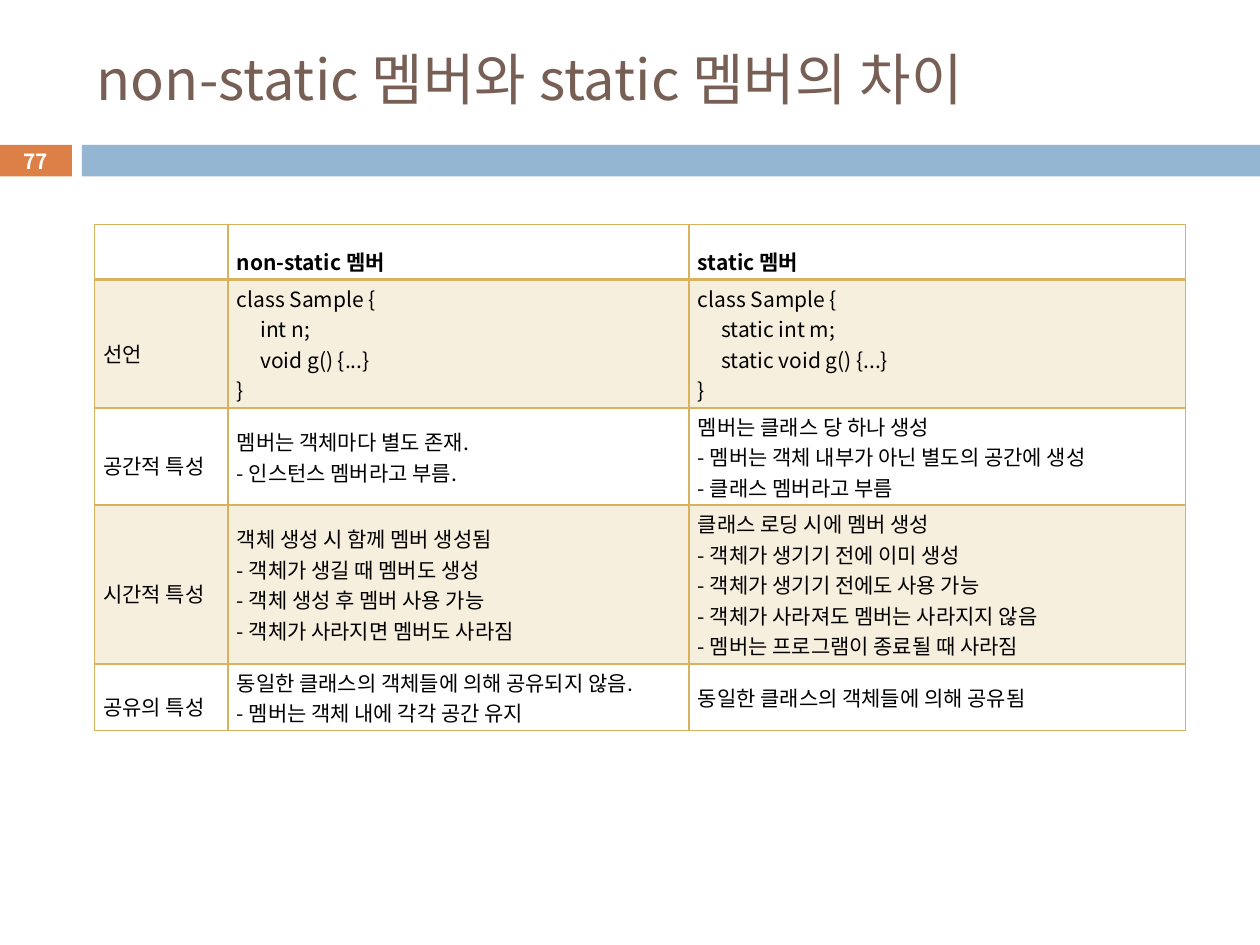
from dataclasses import dataclass

from pptx import Presentation
from pptx.dml.color import RGBColor
from pptx.enum.shapes import MSO_SHAPE
from pptx.enum.text import MSO_ANCHOR, PP_ALIGN
from pptx.oxml import parse_xml
from pptx.oxml.ns import nsdecls, qn
from pptx.util import Inches, Pt
from lxml.etree import SubElement


@dataclass(frozen=True)
class Theme:
    font: str = "Noto Sans CJK KR"
    title: str = "775F55"
    orange: str = "DD8047"
    blue: str = "94B6D2"
    gold: str = "D8B25C"
    white: str = "FFFFFF"
    black: str = "000000"
    title_size: float = 32
    body_size: float = 12
    number_size: float = 11.9
    band_opacity: int = 20


@dataclass(frozen=True)
class TextStyle:
    size: float
    color: str
    bold: bool = False
    alignment: PP_ALIGN = PP_ALIGN.LEFT
    line_spacing: float = 1.0


@dataclass(frozen=True)
class Bar:
    left: float
    width: float
    color: str
    text: str = ""


@dataclass(frozen=True)
class Row:
    height: float
    label: str
    non_static: str
    static: str


THEME = Theme()
TITLE = TextStyle(THEME.title_size, THEME.title)
NUMBER = TextStyle(THEME.number_size, THEME.white, True, PP_ALIGN.CENTER)
HEADER = TextStyle(THEME.body_size, THEME.black, True, PP_ALIGN.JUSTIFY, 1.6)
LABEL = TextStyle(THEME.body_size, THEME.black, False, PP_ALIGN.JUSTIFY, 1.6)
BODY = TextStyle(THEME.body_size, THEME.black, False, PP_ALIGN.JUSTIFY)

BARS = [Bar(-0.01, 0.58, THEME.orange, "77"), Bar(0.65, 9.35, THEME.blue)]
COLUMN_WIDTHS = [1.06, 3.66, 3.94]
ROWS = [
    Row(0.44, "", "non-static 멤버", "static 멤버"),
    Row(1.02, "선언",
        "class Sample {\n     int n;\n     void g() {...}\n}",
        "class Sample {\n     static int m;\n     static void g() {...}\n}"),
    Row(0.77, "공간적 특성",
        "멤버는 객체마다 별도 존재.\n- 인스턴스 멤버라고 부름.",
        "멤버는 클래스 당 하나 생성\n- 멤버는 객체 내부가 아닌 별도의 공간에 생성\n"
        "- 클래스 멤버라고 부름"),
    Row(1.26, "시간적 특성",
        "객체 생성 시 함께 멤버 생성됨\n- 객체가 생길 때 멤버도 생성\n"
        "- 객체 생성 후 멤버 사용 가능\n- 객체가 사라지면 멤버도 사라짐",
        "클래스 로딩 시에 멤버 생성\n- 객체가 생기기 전에 이미 생성\n"
        "- 객체가 생기기 전에도 사용 가능\n- 객체가 사라져도 멤버는 사라지지 않음\n"
        "- 멤버는 프로그램이 종료될 때 사라짐"),
    Row(0.53, "공유의 특성",
        "동일한 클래스의 객체들에 의해 공유되지 않음.\n- 멤버는 객체 내에 각각 공간 유지",
        "동일한 클래스의 객체들에 의해 공유됨"),
]


def set_attributes(target, values: dict) -> None:
    for name, value in values.items():
        setattr(target, name, value)


def write_text(text_frame, text: str, style: TextStyle) -> None:
    text_frame.word_wrap = True
    text_frame.text = text
    for paragraph in text_frame.paragraphs:
        set_attributes(paragraph, {"alignment": style.alignment,
                                   "line_spacing": style.line_spacing})
        for run in paragraph.runs:
            set_attributes(run.font, {"name": THEME.font, "size": Pt(style.size),
                                      "bold": style.bold})
            run.font.color.rgb = RGBColor.from_string(style.color)
            east_asian = SubElement(run.font._element, qn("a:ea"))
            east_asian.set("typeface", THEME.font)


def draw_title(slide, text: str) -> None:
    box = slide.shapes.add_textbox(Inches(0.67), Inches(0.25), Inches(8.92), Inches(0.74))
    write_text(box.text_frame, text, TITLE)
    box.text_frame.vertical_anchor = MSO_ANCHOR.MIDDLE


def draw_bar(slide, bar: Bar) -> None:
    shape = slide.shapes.add_shape(MSO_SHAPE.RECTANGLE, Inches(bar.left), Inches(1.15),
                                   Inches(bar.width), Inches(0.25))
    shape.shadow.inherit = False
    shape.fill.solid()
    shape.fill.fore_color.rgb = RGBColor.from_string(bar.color)
    shape.line.fill.background()
    if bar.text:
        write_text(shape.text_frame, bar.text, NUMBER)
        set_attributes(shape.text_frame, {"margin_top": 0, "margin_bottom": 0,
                                          "vertical_anchor": MSO_ANCHOR.MIDDLE})


def set_borders(cell, widths: dict[str, float]) -> None:
    properties = cell._tc.get_or_add_tcPr()
    for index, (side, width) in enumerate(widths.items()):
        # Border lines must come before the fill
        properties.insert(index, parse_xml(
            f'<a:ln{side} {nsdecls("a")} w="{Pt(width)}"><a:solidFill>'
            f'<a:srgbClr val="{THEME.gold}"/></a:solidFill></a:ln{side}>'))


def fill_cell(cell, banded: bool) -> None:
    if not banded:
        cell.fill.background()
        return
    cell.fill.solid()
    cell.fill.fore_color.rgb = RGBColor.from_string(THEME.gold)
    color = cell._tc.tcPr.find(".//" + qn("a:srgbClr"))
    SubElement(color, qn("a:alpha")).set("val", str(THEME.band_opacity * 1000))


def draw_table(slide, rows: list[Row]) -> None:
    frame = slide.shapes.add_table(
        len(rows), len(COLUMN_WIDTHS), Inches(0.75), Inches(1.78),
        Inches(sum(COLUMN_WIDTHS)), Inches(sum(row.height for row in rows)))
    table = frame.table
    for column, width in zip(table.columns, COLUMN_WIDTHS):
        column.width = Inches(width)
    for row_index, row in enumerate(rows):
        table.rows[row_index].height = Inches(row.height)
        for column_index, text in enumerate((row.label, row.non_static, row.static)):
            cell = table.cell(row_index, column_index)
            set_attributes(cell, {
                "margin_left": Inches(0.07), "margin_right": Inches(0.07),
                "margin_top": Inches(0.02), "margin_bottom": Inches(0.02),
                "vertical_anchor": MSO_ANCHOR.MIDDLE})
            style = HEADER if row_index == 0 else LABEL if column_index == 0 else BODY
            write_text(cell.text_frame, text, style)
            fill_cell(cell, banded=row_index % 2 == 1)
            set_borders(cell, {"L": 1, "R": 1, "T": 2 if row_index == 1 else 1,
                               "B": 2 if row_index == 0 else 1})


def main() -> None:
    presentation = Presentation()
    set_attributes(presentation, {"slide_width": Inches(10), "slide_height": Inches(7.5)})
    slide = presentation.slides.add_slide(presentation.slide_layouts[6])

    # Heading and page number band
    for bar in BARS:
        draw_bar(slide, bar)
    draw_title(slide, "non-static 멤버와 static 멤버의 차이")

    # Comparison table
    draw_table(slide, ROWS)
    presentation.save("out.pptx")


if __name__ == "__main__":
    main()
